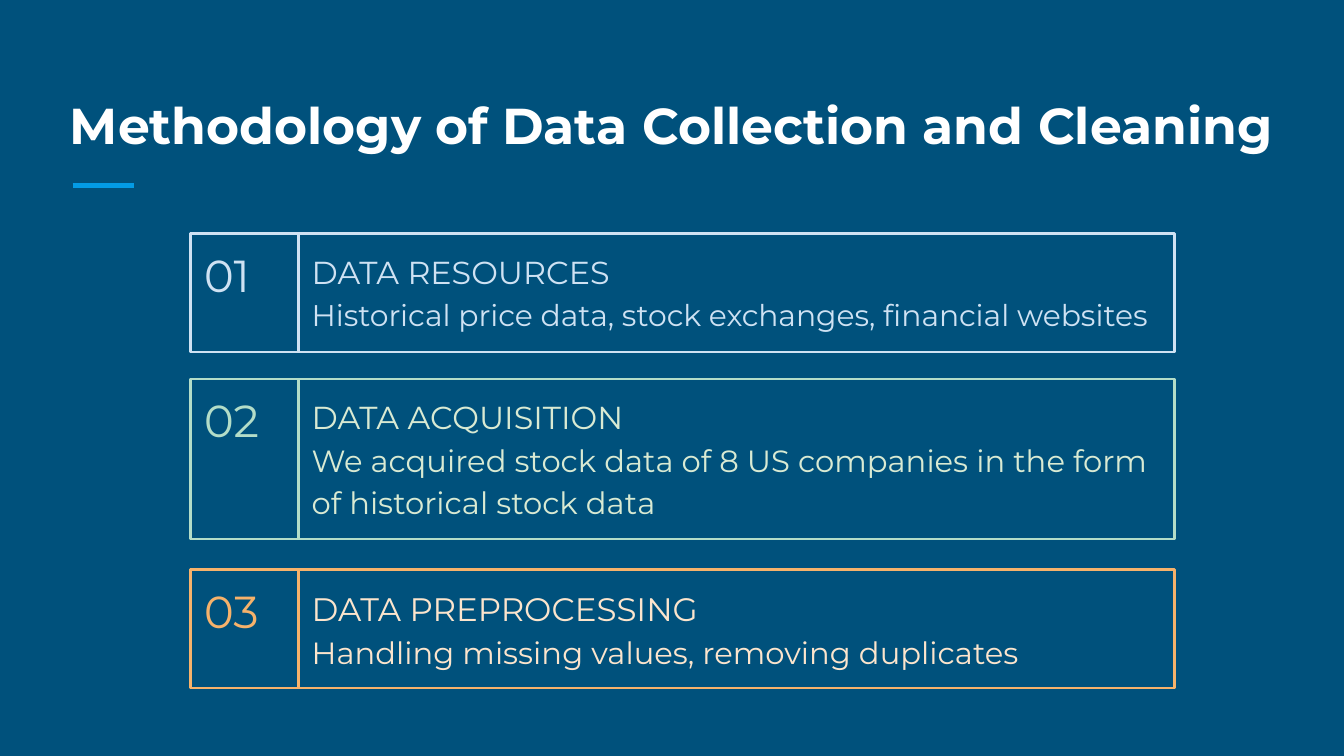
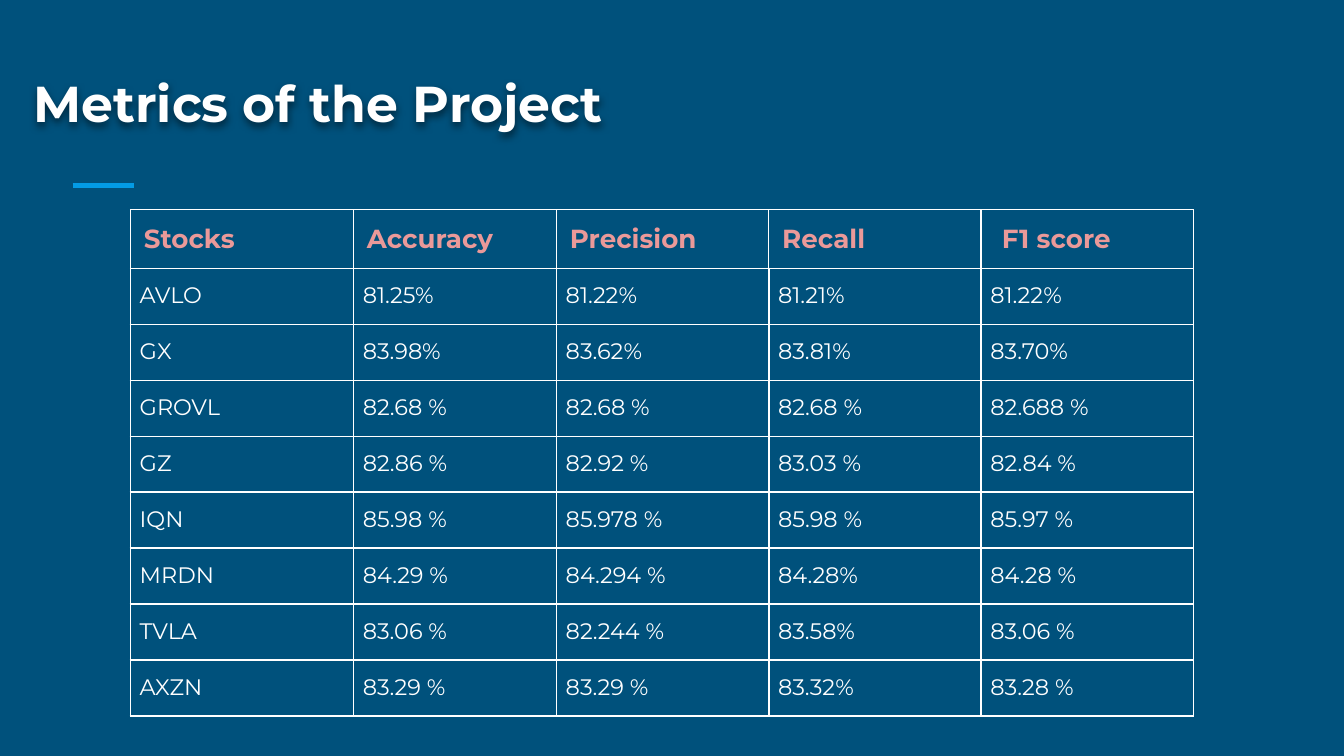
from lxml import etree
from pptx import Presentation
from pptx.dml.color import RGBColor
from pptx.enum.shapes import MSO_CONNECTOR, MSO_SHAPE
from pptx.enum.text import MSO_ANCHOR, MSO_AUTO_SIZE, PP_ALIGN
from pptx.oxml import parse_xml
from pptx.oxml.ns import nsdecls, qn
from pptx.util import Inches, Pt

RECT, STRAIGHT = MSO_SHAPE.RECTANGLE, MSO_CONNECTOR.STRAIGHT
TOP, BOTTOM, LEFT = MSO_ANCHOR.TOP, MSO_ANCHOR.BOTTOM, PP_ALIGN.LEFT
TITLE_ONLY = 5
FONT = "Montserrat"

NAVY = RGBColor(0x00, 0x51, 0x7C)
SKY = RGBColor(0x03, 0x9B, 0xE5)
WHITE = RGBColor(0xFF, 0xFF, 0xFF)
PALE_BLUE = RGBColor(0xCF, 0xE2, 0xF3)
MINT = RGBColor(0xB3, 0xDD, 0xC8)
PALE_GREEN = RGBColor(0xD9, 0xEA, 0xD3)
ORANGE = RGBColor(0xF6, 0xB2, 0x6B)
CREAM = RGBColor(0xFC, 0xE5, 0xCD)
CORAL = RGBColor(0xEA, 0x99, 0x99)

# number, heading, detail, line colour, text colour, text sizes, offset, height
STEPS = [
    ("01", "DATA RESOURCES",
     "Historical price data, stock exchanges, financial websites",
     PALE_BLUE, PALE_BLUE, (17, 16), 0, 0.88),
    ("02", "DATA ACQUISITION",
     "We acquired stock data of 8 US companies in the form of historical stock data",
     MINT, PALE_GREEN, (17, 16.4), 1.08, 1.19),
    ("03", "DATA PREPROCESSING",
     "Handling missing values, removing duplicates",
     ORANGE, CREAM, (17.4, 16.4), 2.5, 0.88),
]
STEPS_BOX = (1.42, 1.74, 7.32)
NUMBER_W = 0.8

METRICS = [
    ("Stocks", "Accuracy", "Precision", "Recall", " F1 score"),
    ("AVLO", "81.25%", "81.22%", "81.21%", "81.22%"),
    ("GX", "83.98%", "83.62%", "83.81%", "83.70%"),
    ("GROVL", "82.68 %", "82.68 %", "82.68 %", "82.688 %"),
    ("GZ", "82.86 %", "82.92 %", "83.03 %", "82.84 %"),
    ("IQN", "85.98 %", "85.978 %", "85.98 %", "85.97 %"),
    ("MRDN", "84.29 %", "84.294 %", "84.28%", "84.28 %"),
    ("TVLA", "83.06 %", "82.244 %", "83.58%", "83.06 %"),
    ("AXZN", "83.29 %", "83.29 %", "83.32%", "83.28 %"),
]
METRIC_COLS = (1.66, 1.51, 1.58, 1.58, 1.58)
HEADER_H, ROW_H = Pt(31), Pt(30)


def set_margins(frame, inset):
    """Give a text frame or table cell the same inset on every side."""
    frame.margin_left = frame.margin_right = Inches(inset)
    frame.margin_top = frame.margin_bottom = Inches(inset)


def write(tf, *lines, sizes, color, bold=False, spacing=None, around=None):
    """Write one paragraph per line; around is the space before and after."""
    tf.word_wrap = True
    for i, (line, size) in enumerate(zip(lines, sizes)):
        p = tf.add_paragraph() if i else tf.paragraphs[0]
        p.alignment = LEFT
        if spacing:
            p.line_spacing = spacing
        if around is not None:
            p.space_before = p.space_after = Pt(around)
        r = p.add_run()
        r.text = line
        font = r.font
        font.name, font.size, font.bold = FONT, Pt(size), bold
        font.color.rgb = color


def add_shadow(sp):
    sp._element.spPr.append(parse_xml(
        f'<a:effectLst {nsdecls("a")}><a:outerShdw blurRad="57150" dist="19050" '
        'dir="5400000" algn="bl" rotWithShape="0"><a:srgbClr val="000000">'
        '<a:alpha val="50000"/></a:srgbClr></a:outerShdw></a:effectLst>'))


def add_titled_slide(prs, title, box):
    s = prs.slides.add_slide(prs.slide_layouts[TITLE_ONLY])
    sp = s.shapes.title
    sp.left, sp.top, sp.width, sp.height = (Inches(v) for v in box)
    tf = sp.text_frame
    set_margins(tf, 0.1)
    tf.vertical_anchor, tf.auto_size = BOTTOM, MSO_AUTO_SIZE.NONE
    write(tf, title, sizes=[27], color=WHITE, bold=True)

    rule = s.shapes.add_connector(
        STRAIGHT, Inches(0.54), Inches(1.38), Inches(1), Inches(1.38))
    rule.line.color.rgb, rule.line.width = SKY, Pt(3)
    etree.SubElement(rule._element.spPr, qn("a:effectLst"))
    return s


def add_panel(s, x, y, w, h, line_color):
    """Add an outlined box and return its text frame."""
    sp = s.shapes.add_shape(RECT, Inches(x), Inches(y), Inches(w), Inches(h))
    sp.shadow.inherit = False
    sp.fill.background()
    sp.line.color.rgb, sp.line.width = line_color, Pt(1.5)
    tf = sp.text_frame
    set_margins(tf, 0.1)
    tf.vertical_anchor = TOP
    return tf


def add_steps(s, x, y, w):
    for number, heading, detail, line, color, sizes, offset, h in STEPS:
        tf = add_panel(s, x, y + offset, NUMBER_W, h, line)
        write(tf, number, sizes=[24], color=line)
        tf = add_panel(s, x + NUMBER_W, y + offset, w - NUMBER_W, h, line)
        write(tf, heading, detail, sizes=sizes, color=color, spacing=1.15)


def set_borders(cell, **widths):
    """Draw white cell borders; widths are points keyed by side L, R, T, B."""
    tcPr = cell._tc.get_or_add_tcPr()
    for i, side in enumerate("LRTB"):
        tcPr.insert(i, parse_xml(
            f'<a:ln{side} {nsdecls("a")} w="{Pt(widths[side])}"><a:solidFill>'
            f'<a:srgbClr val="{WHITE}"/></a:solidFill></a:ln{side}>'))


def add_metrics_table(s, x, y):
    n = len(METRICS)
    heights = [HEADER_H] + [ROW_H] * (n - 1)
    table = s.shapes.add_table(
        n, len(METRIC_COLS), Inches(x), Inches(y),
        Inches(sum(METRIC_COLS)), sum(heights)).table
    table.first_row = table.horz_banding = False
    for col, width in zip(table.columns, METRIC_COLS):
        col.width = Inches(width)
    for i, (row, height, values) in enumerate(zip(table.rows, heights, METRICS)):
        row.height = height
        thin = 1 if i else 0.75
        for cell, value in zip(row.cells, values):
            cell.fill.background()
            set_borders(cell, L=thin, R=thin, T=thin, B=1)
            set_margins(cell, 0.07 if i else 0.1)
            if i:
                write(cell.text_frame, value, sizes=[12], color=WHITE,
                      spacing=1.15, around=12)
            else:
                write(cell.text_frame, value, sizes=[14], color=CORAL, bold=True)


def main():
    prs = Presentation()
    prs.slide_width = Inches(10)
    prs.slide_height = prs.slide_width * 9 // 16
    fill = prs.slide_master.background.fill
    fill.solid()
    fill.fore_color.rgb = NAVY

    s = add_titled_slide(prs, "Methodology of Data Collection and Cleaning",
                         (0.42, 0.5, 9.15, 0.75))
    add_steps(s, *STEPS_BOX)

    s = add_titled_slide(prs, "Metrics of the Project", (0.15, 0.46, 9.32, 0.63))
    add_shadow(s.shapes.title)
    add_metrics_table(s, 0.97, 1.56)

    prs.save("out.pptx")


if __name__ == "__main__":
    main()
